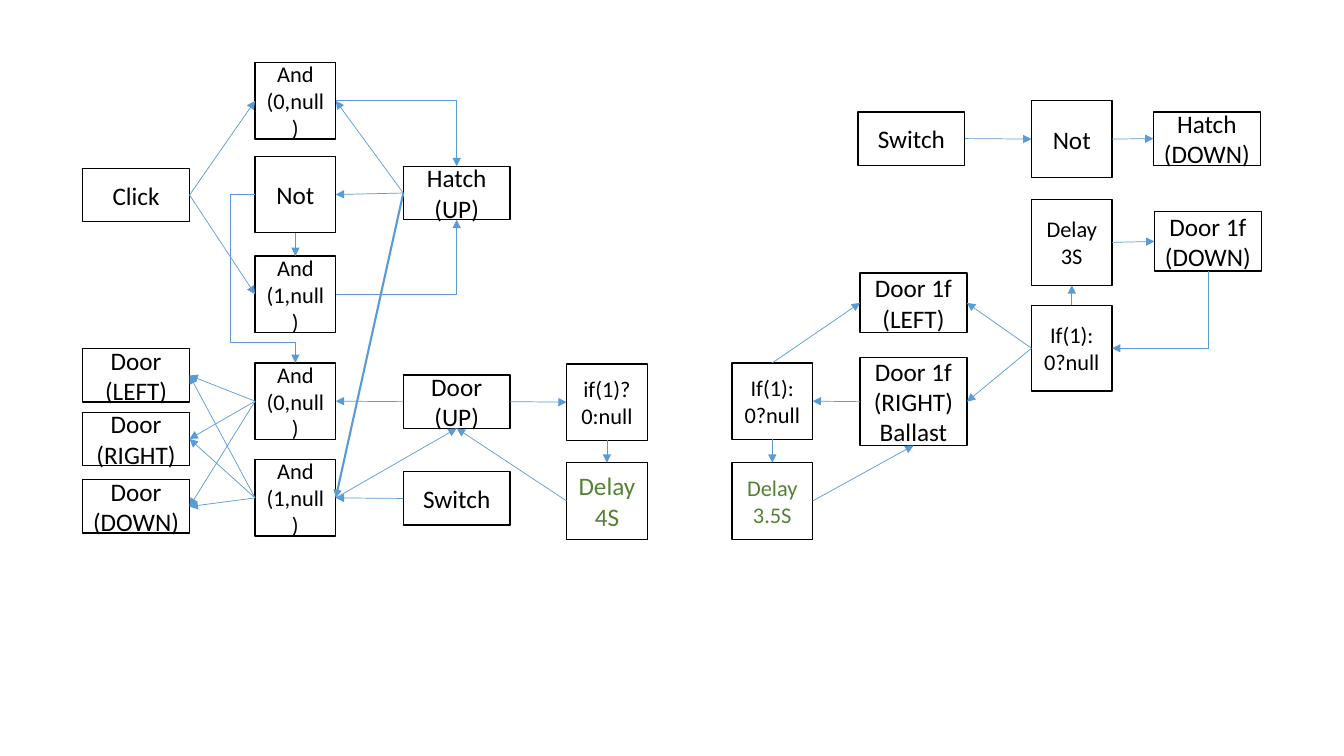
from lxml.etree import SubElement
from pptx import Presentation
from pptx.dml.color import RGBColor
from pptx.enum.shapes import MSO_CONNECTOR, MSO_SHAPE
from pptx.enum.text import MSO_ANCHOR, PP_ALIGN
from pptx.oxml.ns import qn
from pptx.util import Inches, Pt

RECTANGLE = MSO_SHAPE.RECTANGLE
STRAIGHT, ELBOW = MSO_CONNECTOR.STRAIGHT, MSO_CONNECTOR.ELBOW
MIDDLE, CENTER = MSO_ANCHOR.MIDDLE, PP_ALIGN.CENTER
TOP, LEFT, BOTTOM, RIGHT = range(4)

COLORS = {"ink": "000000", "delay": "548235", "arrow": "5B9BD5"}
FONT = "Calibri"

DEVICE = (1.06, 0.53)
FLOOR_DOOR = (1.06, 0.59)
BALLAST_DOOR = (1.06, 0.87)
GATE = (0.8, 0.76)
TALL_GATE = (0.8, 0.85)

DOOR_X, GATE_X, DEVICE_X, TIMER_X = 0.82, 2.53, 4, 5.62
BALLAST_X, FLOOR_X, LOGIC_X, DOWN_X = 7.26, 8.53, 10.23, 11.45

BOXES = {
    "click": (DOOR_X, 1.67, DEVICE, "Click", 18, "ink"),
    "door left": (DOOR_X, 3.46, DEVICE, "Door\n(LEFT)", 18, "ink"),
    "door right": (DOOR_X, 4.09, DEVICE, "Door\n(RIGHT)", 18, "ink"),
    "door down": (DOOR_X, 4.76, DEVICE, "Door\n(DOWN)", 18, "ink"),
    "hatch and 0": (GATE_X, 0.62, GATE, "And\n(0,null)", 16, "ink"),
    "hatch not": (GATE_X, 1.55, GATE, "Not", 18, "ink"),
    "hatch and 1": (GATE_X, 2.54, GATE, "And\n(1,null)", 16, "ink"),
    "door and 0": (GATE_X, 3.6, GATE, "And\n(0,null)", 16, "ink"),
    "door and 1": (GATE_X, 4.56, GATE, "And\n(1,null)", 16, "ink"),
    "hatch up": (DEVICE_X, 1.65, DEVICE, "Hatch\n(UP)", 18, "ink"),
    "door up": (DEVICE_X, 3.72, DEVICE, "Door\n(UP)", 18, "ink"),
    "door switch": (DEVICE_X, 4.68, DEVICE, "Switch", 18, "ink"),
    "door if": (TIMER_X, 3.61, GATE, "if(1)?\n0:null", 16, "ink"),
    "door delay": (TIMER_X, 4.59, GATE, "Delay4S", 18, "delay"),
    "floor switch": (8.51, 1.11, DEVICE, "Switch", 18, "ink"),
    "floor not": (LOGIC_X, 1, GATE, "Not", 18, "ink"),
    "hatch down": (11.44, 1.11, DEVICE, "Hatch\n(DOWN)", 18, "ink"),
    "floor down": (DOWN_X, 2.1, FLOOR_DOOR, "Door 1f\n(DOWN)", 18, "ink"),
    "floor delay": (LOGIC_X, 1.98, TALL_GATE, "Delay3S", 16, "ink"),
    "floor if": (LOGIC_X, 3.03, TALL_GATE, "If(1):\n0?null", 16, "ink"),
    "floor left": (FLOOR_X, 2.71, FLOOR_DOOR, "Door 1f\n(LEFT)", 18, "ink"),
    "floor right": (FLOOR_X, 3.55, BALLAST_DOOR,
                    "Door 1f\n(RIGHT)\nBallast", 18, "ink"),
    "ballast if": (BALLAST_X, 3.6, GATE, "If(1):\n0?null", 16, "ink"),
    "ballast delay": (BALLAST_X, 4.59, GATE, "Delay3.5S", 16, "delay"),
}

ARROWS = [
    ("click", RIGHT, "hatch and 0", LEFT),
    ("click", RIGHT, "hatch and 1", LEFT),
    ("hatch up", LEFT, "hatch and 0", RIGHT),
    ("hatch up", LEFT, "hatch not", RIGHT),
    ("hatch not", BOTTOM, "hatch and 1", TOP),
    ("door up", LEFT, "door and 0", RIGHT),
    ("door up", RIGHT, "door if", LEFT),
    ("door if", BOTTOM, "door delay", TOP),
    ("door delay", LEFT, "door up", BOTTOM),
    ("door and 1", RIGHT, "door up", BOTTOM),
    ("door switch", LEFT, "door and 1", RIGHT),
    ("floor switch", RIGHT, "floor not", LEFT),
    ("floor not", RIGHT, "hatch down", LEFT),
    ("floor delay", RIGHT, "floor down", LEFT),
    ("floor if", TOP, "floor delay", BOTTOM),
    ("floor if", LEFT, "floor left", RIGHT),
    ("floor if", LEFT, "floor right", RIGHT),
    ("floor right", LEFT, "ballast if", RIGHT),
    ("ballast if", TOP, "floor left", LEFT),
    ("ballast if", BOTTOM, "ballast delay", TOP),
    ("ballast delay", RIGHT, "floor right", BOTTOM),
]


def add_box(page, left, top, size, text, points, color):
    width, height = size
    box = page.shapes.add_shape(
        RECTANGLE, Inches(left), Inches(top), Inches(width), Inches(height))
    box.shadow.inherit = False
    box.fill.background()
    box.line.color.rgb = RGBColor.from_string(COLORS["ink"])
    box.line.width = Pt(1)
    frame = box.text_frame
    frame.text = text
    frame.word_wrap = True
    frame.vertical_anchor = MIDDLE
    for para in frame.paragraphs:
        para.alignment = CENTER
        for span in para.runs:
            span.font.name = FONT
            span.font.size = Pt(points)
            span.font.color.rgb = RGBColor.from_string(COLORS[color])
    return box


def add_arrow(page, start, start_side, finish, finish_side,
              kind=STRAIGHT, width=0.5, tip="a:tailEnd"):
    arrow = page.shapes.add_connector(kind, 0, 0, 0, 0)
    arrow.begin_connect(start, start_side)
    arrow.end_connect(finish, finish_side)
    arrow.line.color.rgb = RGBColor.from_string(COLORS["arrow"])
    arrow.line.width = Pt(width)
    properties = arrow._element.spPr
    SubElement(properties.find(qn("a:ln")), qn(tip), type="triangle")
    SubElement(properties, qn("a:effectLst"))
    return arrow


def add_bent_arrow(page, start, start_side, finish, finish_side,
                   preset="bentConnector2", bends=(), tip="a:tailEnd"):
    arrow = add_arrow(page, start, start_side, finish, finish_side, ELBOW, tip=tip)
    geometry = arrow._element.spPr.find(qn("a:prstGeom"))
    geometry.set("prst", preset)
    for number, bend in enumerate(bends, 1):
        SubElement(geometry.find(qn("a:avLst")), qn("a:gd"),
                   name=f"adj{number}", fmla=f"val {round(bend * 100000)}")


def main():
    deck = Presentation()
    deck.slide_width, deck.slide_height = Inches(13.33), Inches(7.5)
    page = deck.slides.add_slide(deck.slide_layouts[6])
    boxes = {name: add_box(page, *details) for name, details in BOXES.items()}

    for start, start_side, finish, finish_side in ARROWS:
        add_arrow(page, boxes[start], start_side, boxes[finish], finish_side)
    for gate in ("door and 0", "door and 1"):
        for door in ("door left", "door right", "door down"):
            add_arrow(page, boxes[gate], LEFT, boxes[door], RIGHT)
    add_arrow(page, boxes["hatch up"], LEFT, boxes["door and 1"], RIGHT, width=1.5)

    add_bent_arrow(page, boxes["hatch and 0"], RIGHT, boxes["hatch up"], TOP)
    add_bent_arrow(page, boxes["hatch and 1"], RIGHT, boxes["hatch up"], BOTTOM)
    add_bent_arrow(page, boxes["hatch not"], LEFT, boxes["door and 0"], TOP,
                   "bentConnector4", (-0.62, 0.88))
    add_bent_arrow(page, boxes["floor if"], RIGHT, boxes["floor down"], BOTTOM,
                   tip="a:headEnd")
    deck.save("out.pptx")


main()
